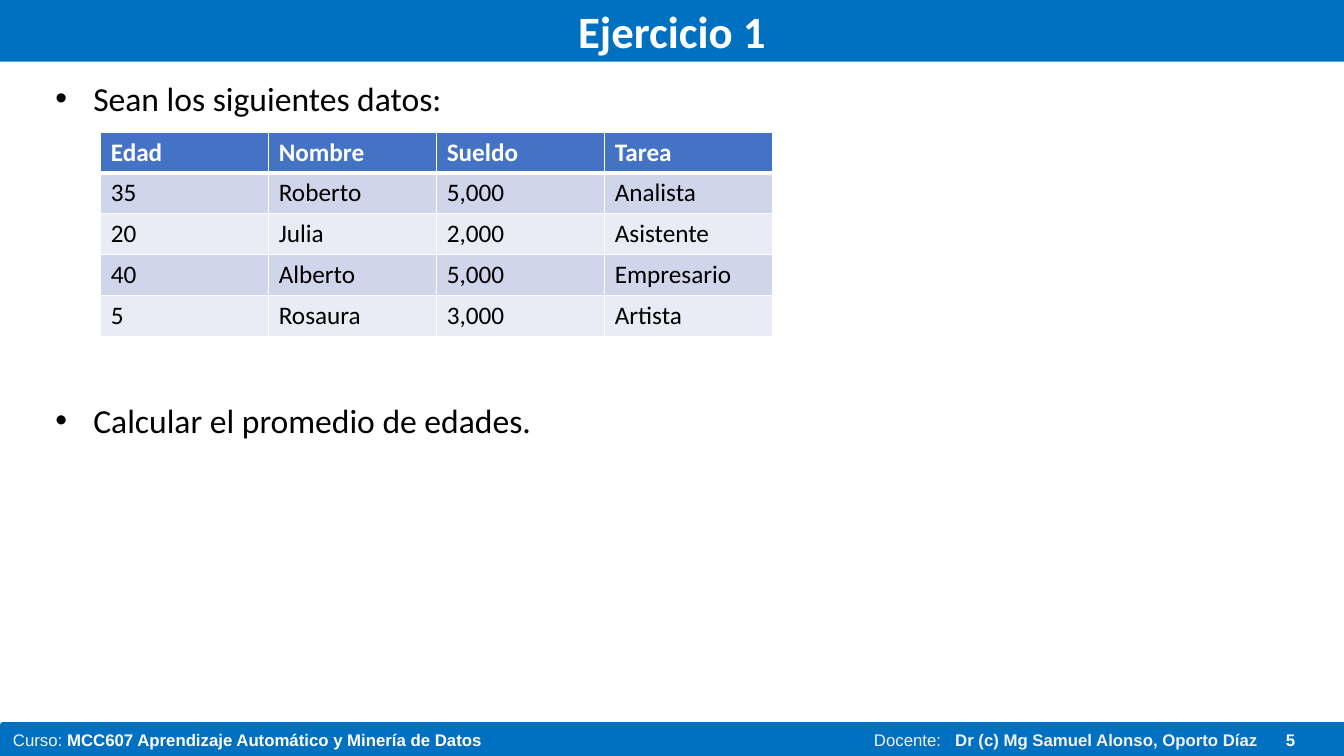
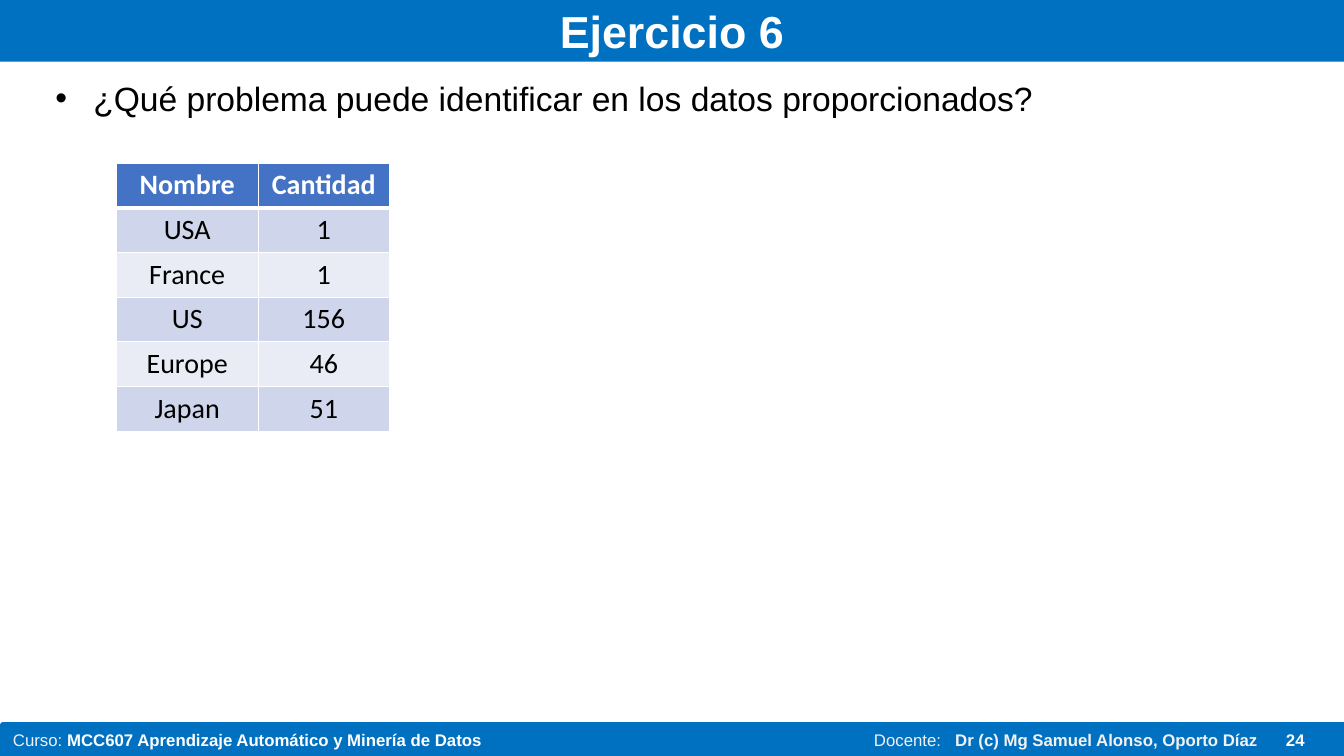
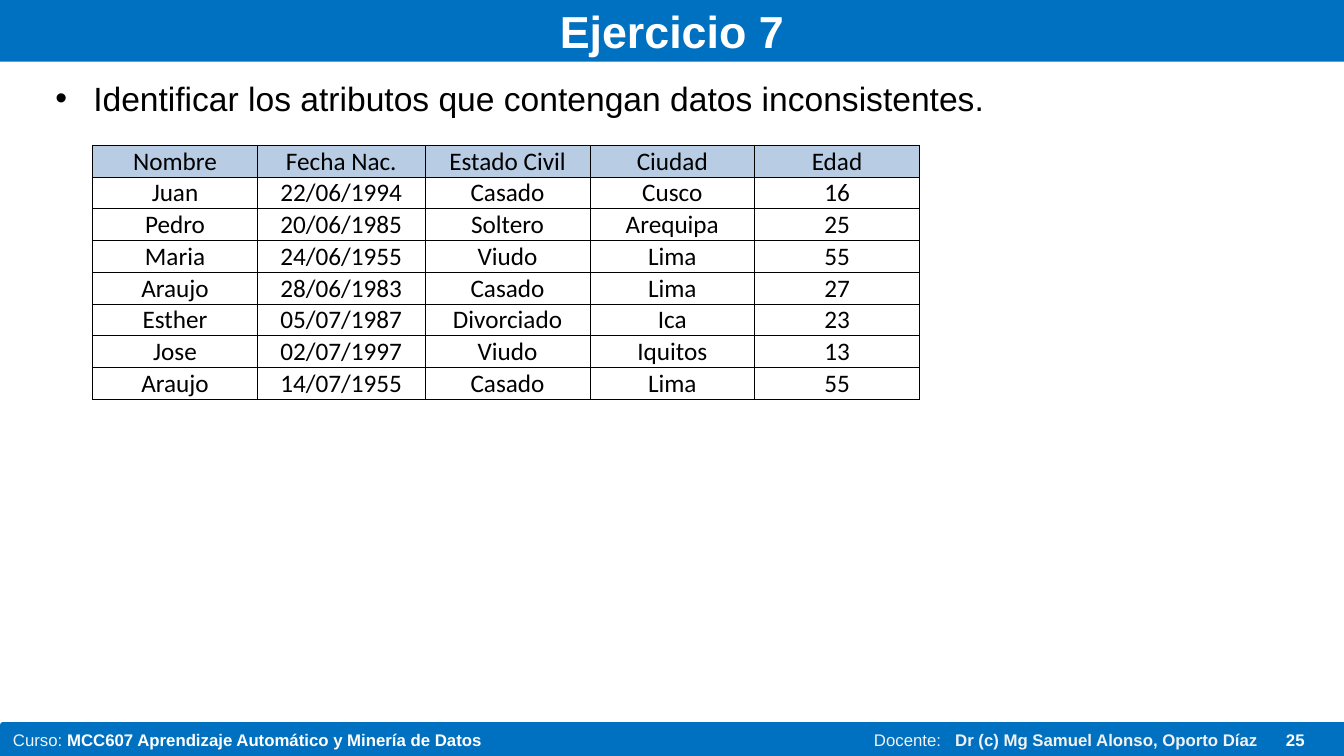
from dataclasses import dataclass

from lxml import etree
from pptx import Presentation
from pptx.dml.color import RGBColor
from pptx.enum.shapes import MSO_SHAPE
from pptx.enum.text import MSO_ANCHOR, MSO_AUTO_SIZE, PP_ALIGN
from pptx.oxml import parse_xml
from pptx.oxml.ns import nsdecls, qn
from pptx.util import Pt


@dataclass(frozen=True)
class Theme:
    band: str = "0070C0"
    pale: str = "F2F2F2"
    white: str = "FFFFFF"
    black: str = "000000"
    header: str = "4472C4"
    stripes: tuple = ("CFD5EA", "E9EBF5")
    grid_header: str = "B8CCE4"
    title_size: int = 32
    body_size: int = 24
    footer_size: int = 12
    sans: str = "Arial"
    text: str = "Calibri"


T = Theme()


def style(r, size, font, color, bold=False):
    r.font.size = Pt(size)
    r.font.name = font
    r.font.bold = bold
    r.font.color.rgb = RGBColor.from_string(color)


def set_borders(cell, color, left, right, top, bottom):
    tcPr = cell._tc.get_or_add_tcPr()
    widths = {"lnL": left, "lnR": right, "lnT": top, "lnB": bottom}
    for i, (side, width) in enumerate(widths.items()):
        ln = parse_xml(
            f'<a:{side} {nsdecls("a")} w="{Pt(width)}"><a:solidFill>'
            f'<a:srgbClr val="{color}"/></a:solidFill></a:{side}>'
        )
        tcPr.insert(i, ln)


slides = [
    dict(
        page="5", title="Ejercicio 1", font=T.text,
        bullets=["Sean los siguientes datos:", "Calcular el promedio de edades."],
        left=72, top=94.3, cols=[120] * 4, row=29.2, size=18,
        align=PP_ALIGN.LEFT, grid=False,
        rows=[
            ["Edad", "Nombre", "Sueldo", "Tarea"],
            ["35", "Roberto", "5,000", "Analista"],
            ["20", "Julia", "2,000", "Asistente"],
            ["40", "Alberto", "5,000", "Empresario"],
            ["5", "Rosaura", "3,000", "Artista"],
        ],
    ),
    dict(
        page="24", title="Ejercicio 6", font=T.sans,
        bullets=["¿Qué problema puede identificar en los datos proporcionados?"],
        left=83, top=116.6, cols=[101.5, 93.6], row=31.9, size=20,
        align=PP_ALIGN.CENTER, grid=False,
        rows=[
            ["Nombre", "Cantidad"],
            ["USA", "1"],
            ["France", "1"],
            ["US", "156"],
            ["Europe", "46"],
            ["Japan", "51"],
        ],
    ),
    dict(
        page="25", title="Ejercicio 7", font=T.sans,
        bullets=["Identificar los atributos que contengan datos inconsistentes."],
        left=66.2, top=103.7, cols=[117.7, 119.8, 117.7, 117.7, 117.7], row=22.7, size=18,
        align=PP_ALIGN.CENTER, grid=True,
        rows=[
            ["Nombre", "Fecha Nac.", "Estado Civil", "Ciudad", "Edad"],
            ["Juan", "22/06/1994", "Casado", "Cusco", "16"],
            ["Pedro", "20/06/1985", "Soltero", "Arequipa", "25"],
            ["Maria", "24/06/1955", "Viudo", "Lima", "55"],
            ["Araujo", "28/06/1983", "Casado", "Lima", "27"],
            ["Esther", "05/07/1987", "Divorciado", "Ica", "23"],
            ["Jose", "02/07/1997", "Viudo", "Iquitos", "13"],
            ["Araujo", "14/07/1955", "Casado", "Lima", "55"],
        ],
    ),
]

footer = [
    ("Curso: ", T.pale, False),
    ("MCC607 Aprendizaje Automático y Minería de Datos\t", T.white, True),
    ("Docente:\t", T.pale, False),
    ("Dr (c) Mg Samuel Alonso, Oporto Díaz", T.pale, True),
]
footer_tabs = [615, 673]

prs = Presentation()
prs.slide_width, prs.slide_height = Pt(960), Pt(540)

for d in slides:
    s = prs.slides.add_slide(prs.slide_layouts[1])

    band = s.shapes.add_shape(MSO_SHAPE.RECTANGLE, Pt(2.2), Pt(517.7), Pt(958), Pt(22.3))
    band.shadow.inherit = False
    band.fill.solid()
    band.fill.fore_color.rgb = RGBColor.from_string(T.band)
    band.line.color.rgb = RGBColor.from_string(T.band)
    band.line.width = Pt(4.5)
    tf = band.text_frame
    tf.vertical_anchor = MSO_ANCHOR.TOP
    p = tf.paragraphs[0]
    p.alignment = PP_ALIGN.LEFT
    tabs = etree.SubElement(p._p.get_or_add_pPr(), qn("a:tabLst"))
    for pos in footer_tabs:
        etree.SubElement(tabs, qn("a:tab"), pos=str(Pt(pos)), algn="l")
    for text, color, bold in footer:
        r = p.add_run()
        r.text = text
        style(r, T.footer_size, T.sans, color, bold)

    number = s.shapes.add_textbox(Pt(911.5), Pt(517.7), Pt(36), Pt(21.6))
    number.text_frame.text = d["page"]
    style(number.text_frame.paragraphs[0].runs[0], T.footer_size, T.sans, T.white, True)

    title = s.shapes.title
    title.left, title.top, title.width, title.height = Pt(0), Pt(0), Pt(960), Pt(44)
    title.fill.solid()
    title.fill.fore_color.rgb = RGBColor.from_string(T.band)
    tf = title.text_frame
    tf.text = d["title"]
    tf.auto_size = MSO_AUTO_SIZE.NONE
    tf.vertical_anchor = MSO_ANCHOR.MIDDLE
    tf.paragraphs[0].alignment = PP_ALIGN.CENTER
    style(tf.paragraphs[0].runs[0], T.title_size, d["font"], T.white, True)

    body = s.placeholders[1]
    body.left, body.top, body.width, body.height = Pt(32.4), Pt(51.8), Pt(895.7), Pt(456.5)
    tf = body.text_frame
    tf.text = "\n".join(d["bullets"])
    tf.auto_size = MSO_AUTO_SIZE.NONE
    for i, p in enumerate(tf.paragraphs):
        p.space_before = Pt(201.4 * i)
        style(p.runs[0], T.body_size, d["font"], T.black)

    rows, cols, grid = d["rows"], d["cols"], d["grid"]
    table = s.shapes.add_table(
        len(rows), len(cols), Pt(d["left"]), Pt(d["top"]), Pt(sum(cols)), Pt(d["row"] * len(rows))
    ).table
    table.horz_banding = False
    for col, width in zip(table.columns, cols):
        col.width = Pt(width)
    for i, values in enumerate(rows):
        table.rows[i].height = Pt(d["row"])
        for j, value in enumerate(values):
            cell = table.cell(i, j)
            cell.text = value
            p = cell.text_frame.paragraphs[0]
            p.alignment = d["align"]
            head = i == 0 and not grid
            style(p.runs[0], d["size"], T.text, T.white if head else T.black, head)
            if grid and i > 0:
                cell.fill.background()
            else:
                cell.fill.solid()
                fill = T.grid_header if grid else T.header if head else T.stripes[(i - 1) % 2]
                cell.fill.fore_color.rgb = RGBColor.from_string(fill)
            if grid:
                cell.vertical_anchor = MSO_ANCHOR.BOTTOM
                cell.margin_left = cell.margin_right = cell.margin_top = Pt(0.7)
                cell.margin_bottom = Pt(0)
                set_borders(cell, T.black, 0.5, 0.5, 0.5, 0.5)
            else:
                set_borders(cell, T.white, 1, 1, 3 if i == 1 else 1, 3 if head else 1)

prs.save("out.pptx")
